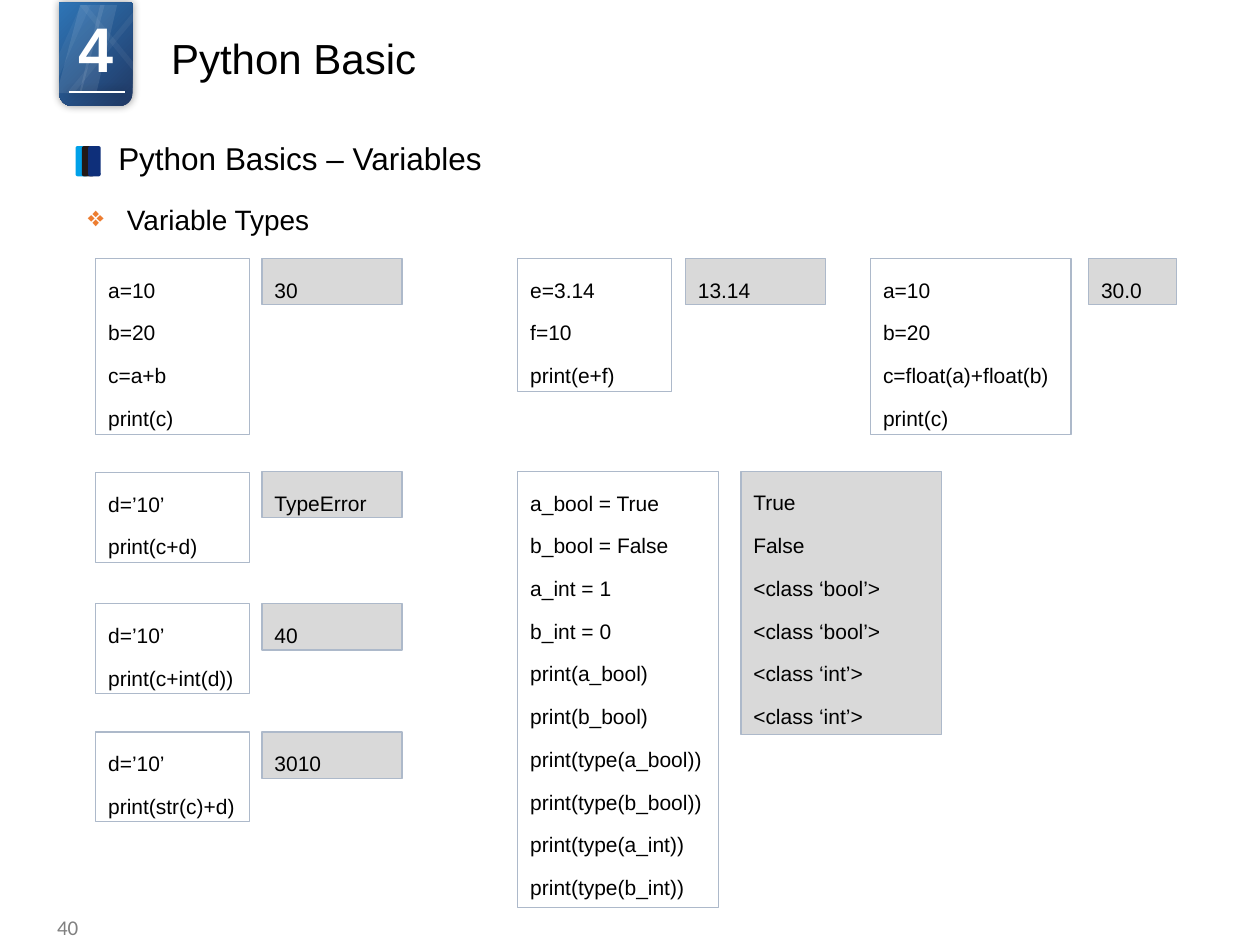
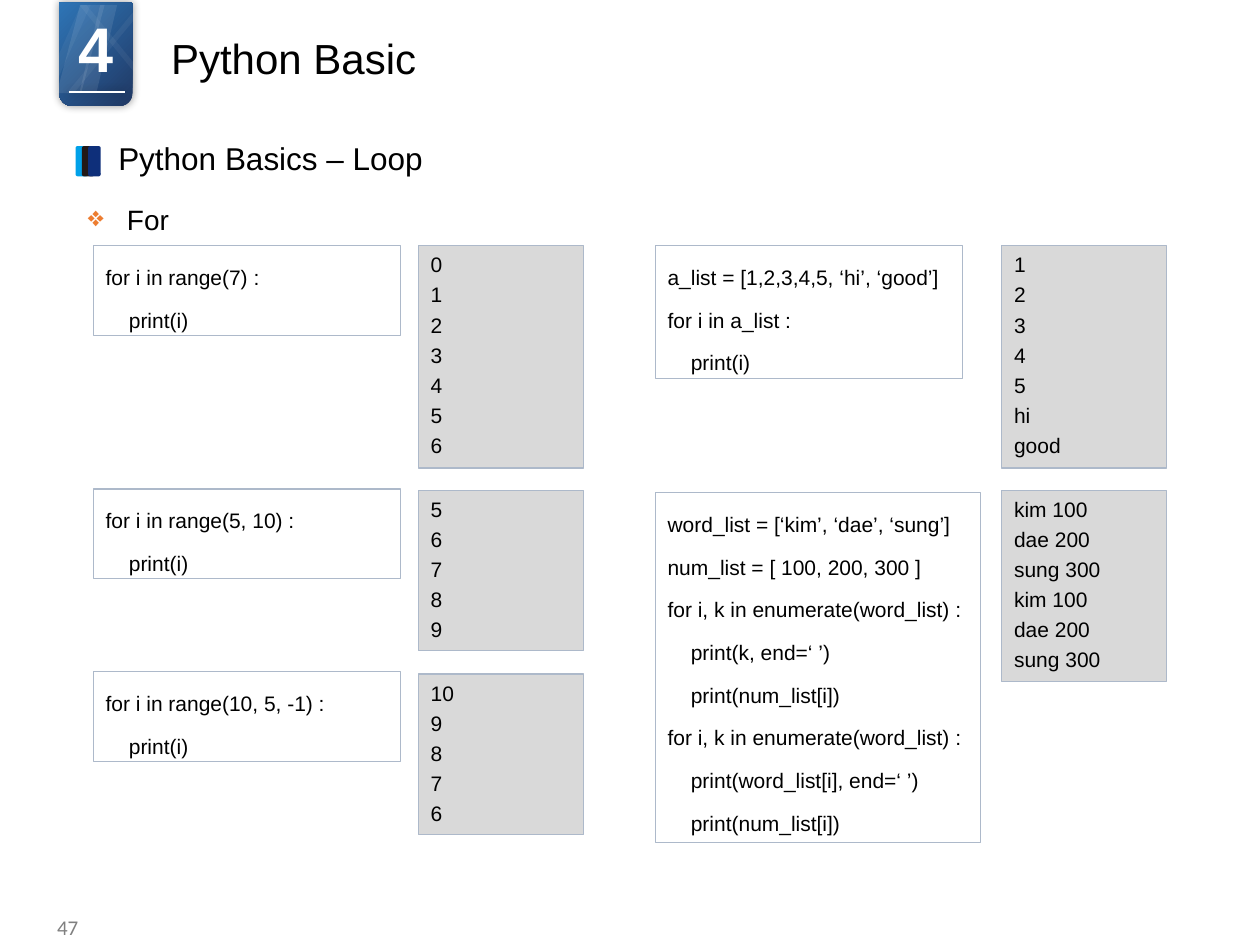
from lxml import etree
from pptx import Presentation
from pptx.dml.color import RGBColor
from pptx.enum.shapes import MSO_CONNECTOR, MSO_SHAPE
from pptx.enum.text import MSO_ANCHOR, MSO_AUTO_SIZE, PP_ALIGN
from pptx.oxml.ns import qn
from pptx.util import Inches, Pt

RECTANGLE = MSO_SHAPE.RECTANGLE
ROUNDED = MSO_SHAPE.ROUNDED_RECTANGLE
TAG = MSO_SHAPE.ROUND_2_SAME_RECTANGLE
SLANT = MSO_SHAPE.PARALLELOGRAM
STRAIGHT = MSO_CONNECTOR.STRAIGHT
TOP, MIDDLE = MSO_ANCHOR.TOP, MSO_ANCHOR.MIDDLE
LEFT, CENTER, RIGHT = PP_ALIGN.LEFT, PP_ALIGN.CENTER, PP_ALIGN.RIGHT
GROW = MSO_AUTO_SIZE.SHAPE_TO_FIT_TEXT

BLACK, WHITE, GRAY = "000000", "FFFFFF", "808080"
NAVY, BLUE, ORANGE = "203864", "2E75B6", "ED7D31"
OUTPUT_FILL, BORDER = "D9D9D9", "ADB9CA"
MARKER_COLORS = ("00A1E9", "231916", "0E2F7A")
PARAGRAPH_GAP = 2.8

SHINES = (
    (4.5, 3.8, 0.49, 9, False),
    (6.3, 3.0, 0.55, 9, False),
    (5.3, 6.3, 0.91, 5, False),
    (3.3, 3.9, 0.8, 5, False),
    (6.3, 6.3, 0.91, 5, True),
)

VARIABLE_CODE = (
    (7.6, 20.5, 12.2, ("a=10", "b=20", "c=a+b", "print(c)")),
    (7.6, 37.5, 12.2, ("d=’10’", "print(c+d)")),
    (7.6, 47.9, 12.2, ("d=’10’", "print(c+int(d))")),
    (7.6, 58.1, 12.2, ("d=’10’", "print(str(c)+d)")),
    (41.1, 20.5, 12.2, ("e=3.14", "f=10", "print(e+f)")),
    (69.1, 20.5, 15.9, ("a=10", "b=20", "c=float(a)+float(b)", "print(c)")),
    (41.1, 37.4, 15.9, (
        "a_bool = True", "b_bool = False", "a_int = 1", "b_int = 0",
        "print(a_bool)", "print(b_bool)",
        "print(type(a_bool))", "print(type(b_bool))",
        "print(type(a_int))", "print(type(b_int))")),
)
VARIABLE_OUTPUT = (
    (20.8, 20.5, 11.1, ("30",)),
    (20.8, 37.4, 11.1, ("TypeError",)),
    (20.8, 47.9, 11.1, ("40",)),
    (20.8, 58.1, 11.1, ("3010",)),
    (54.4, 20.5, 11.1, ("13.14",)),
    (86.4, 20.5, 7.0, ("30.0",)),
    (58.8, 37.4, 15.9, (
        "True", "False", "<class ‘bool’>", "<class ‘bool’>",
        "<class ‘int’>", "<class ‘int’>")),
)
LOOP_CODE = (
    (7.4, 19.5, 24.4, ("for i in range(7) :", "    print(i)")),
    (7.4, 38.8, 24.4, ("for i in range(5, 10) :", "    print(i)")),
    (7.4, 53.3, 24.4, ("for i in range(10, 5, -1) :", "    print(i)")),
    (52, 19.5, 24.4, (
        "a_list = [1,2,3,4,5, ‘hi’, ‘good’]", "for i in a_list :", "    print(i)")),
    (52, 39.1, 25.8, (
        "word_list = [‘kim’, ‘dae’, ‘sung’]", "num_list = [ 100, 200, 300 ]",
        "for i, k in enumerate(word_list) :",
        "    print(k, end=‘ ’)", "    print(num_list[i])",
        "for i, k in enumerate(word_list) :",
        "    print(word_list[i], end=‘ ’)", "    print(num_list[i])")),
)
LOOP_OUTPUT = (
    (33.2, 19.5, 13.1, "0123456"),
    (33.2, 38.9, 13.1, "56789"),
    (33.2, 53.5, 13.1, ("10", "9", "8", "7", "6")),
    (79.5, 19.5, 13.1, ("1", "2", "3", "4", "5", "hi", "good")),
    (79.5, 38.9, 13.1, ("kim 100", "dae 200", "sung 300") * 2),
)


def color(value):
    return RGBColor.from_string(value)


def grid(*cells):
    return [Inches(cell / 10) for cell in cells]


def add_xml(parent, tag, **attributes):
    child = etree.SubElement(parent, qn(tag))
    for name, value in attributes.items():
        child.set(name, str(value))
    return child


class Lesson:
    def __init__(self):
        self.deck = Presentation()
        self.deck.slide_width, self.deck.slide_height = grid(100, 75)
        self.page = None

    def shape(self, kind, area, fill=None, border=None, parent=None):
        shape = (parent or self.page).shapes.add_shape(kind, *grid(*area))
        shape.shadow.inherit = False
        if fill:
            shape.fill.solid()
            shape.fill.fore_color.rgb = color(fill)
        else:
            shape.fill.background()
        if border:
            shape.line.color.rgb = color(border)
            shape.line.width = Pt(0.75)
        else:
            shape.line.fill.background()
        return shape

    def glow(self, effects):
        shadow = add_xml(effects, "a:outerShdw", blurRad=Pt(5), dist=0, dir=0,
                         algn="ctr", rotWithShape=0)
        black = add_xml(shadow, "a:srgbClr", val=BLACK)
        add_xml(black, "a:alpha", val=40000)

    def set_text(self, box, lines, size=12, ink=BLACK, font="Arial", align=LEFT,
                 anchor=TOP, spacing=None, gap=None, grow=True):
        frame = box.text_frame
        frame.text = "\n".join(lines)
        frame.word_wrap = True
        frame.vertical_anchor = anchor
        if grow:
            frame.auto_size = GROW
        for para in frame.paragraphs:
            para.alignment = align
            if spacing:
                para.line_spacing = spacing
            if gap:
                para.space_after = Pt(gap)
            for span in para.runs:
                span.font.size = Pt(size)
                span.font.name = font
                span.font.color.rgb = color(ink)
        return frame.paragraphs[0]

    def label(self, area, text, **style):
        box = self.page.shapes.add_textbox(*grid(*area))
        return self.set_text(box, [text], **style)

    def badge(self):
        tag = self.shape(TAG, (4.7, 0.2, 5.8, 8.2), NAVY)
        tag.rotation = 180
        tag.fill.gradient()
        tag.fill.gradient_angle = 315
        for stop, shade in zip(tag.fill.gradient_stops, (NAVY, BLUE)):
            stop.color.rgb = color(shade)
        self.glow(tag.element.spPr.find(qn("a:effectLst")))

        rule = self.page.shapes.add_connector(STRAIGHT, *grid(9.9, 7.3, 5.5, 7.3))
        rule.line.color.rgb = color(WHITE)
        rule.line.width = Pt(1)
        self.glow(add_xml(rule._element.spPr, "a:effectLst"))

        shine_group = self.page.shapes.add_group_shape()
        for left, width, slant, opacity, flipped in SHINES:
            shine = self.shape(SLANT, (left, 0.4, width, 7), WHITE, parent=shine_group)
            shine.adjustments[0] = slant
            properties = shine.element.spPr
            tint = properties.find(qn("a:solidFill")).find(qn("a:srgbClr"))
            add_xml(tint, "a:alpha", val=opacity * 1000)
            if flipped:
                properties.find(qn("a:xfrm")).set("flipH", "1")

    def heading(self, text):
        marker = self.page.shapes.add_group_shape()
        for index, shade in enumerate(MARKER_COLORS):
            self.shape(ROUNDED, (6 + index / 2, 11.6, 1, 2.4), shade, parent=marker)
        self.label((8.4, 10.9, 47.1, 3.7), text, size=18, anchor=MIDDLE, spacing=0.9)

    def topic(self, text):
        para = self.label((6, 15.6, 38.3, 3.7), text, size=16, gap=PARAGRAPH_GAP)
        properties = para._p.get_or_add_pPr()
        properties.set("marL", str(Inches(0.31)))
        properties.set("indent", str(-Inches(0.31)))
        add_xml(add_xml(properties, "a:buClr"), "a:srgbClr", val=ORANGE)
        add_xml(properties, "a:buChar", char="❖")

    def listing(self, left, top, width, lines, fill=None, spaced=True):
        height = 0.25 + 3.44 * len(lines) if spaced else 0.5 + 2.45 * len(lines)
        box = self.shape(RECTANGLE, (left, top, width, height), fill, BORDER)
        self.set_text(box, lines, spacing=1.5 if spaced else None, gap=PARAGRAPH_GAP)

    def title(self):
        self.label((12.6, 2.1, 70.4, 5.7), "Python Basic", size=24, grow=False)
        digit = self.label((4.9, 0.3, 5.4, 7.1), "4", size=36, ink=WHITE, align=CENTER)
        span = digit.runs[0]
        span.font.bold = True
        span._r.get_or_add_rPr().set("spc", "-150")

    def add_page(self, number, heading, topic, code, output, spaced_output):
        self.page = self.deck.slides.add_slide(self.deck.slide_layouts[6])
        self.badge()
        self.label((2.3, 72.5, 4.9, 2.1), number, ink=GRAY, font="Calibri",
                   align=RIGHT, anchor=MIDDLE, grow=False)
        self.heading(heading)
        self.topic(topic)
        for entry in code:
            self.listing(*entry)
        for entry in output:
            self.listing(*entry, fill=OUTPUT_FILL, spaced=spaced_output)
        self.title()


def main():
    lesson = Lesson()
    lesson.add_page("40", "Python Basics – Variables", "Variable Types",
                    VARIABLE_CODE, VARIABLE_OUTPUT, True)
    lesson.add_page("47", "Python Basics – Loop", "For",
                    LOOP_CODE, LOOP_OUTPUT, False)
    lesson.deck.save("out.pptx")


if __name__ == "__main__":
    main()
